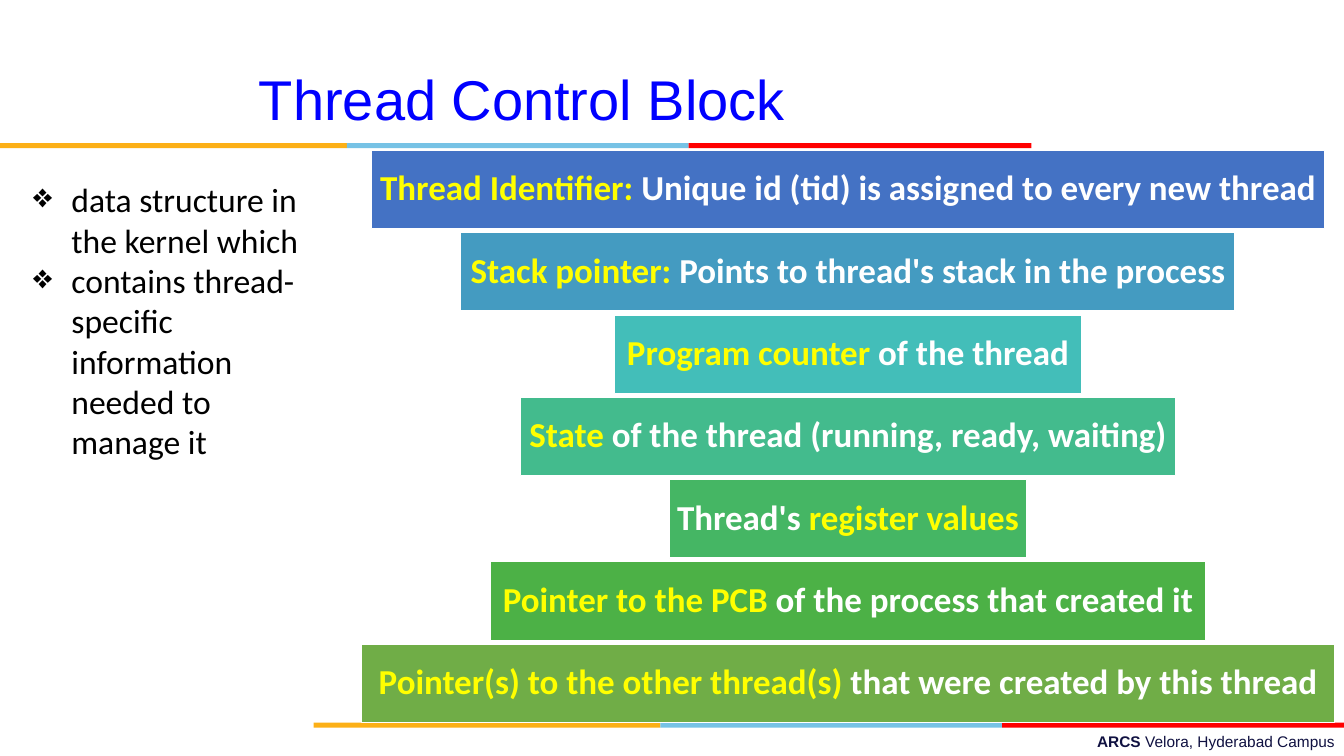
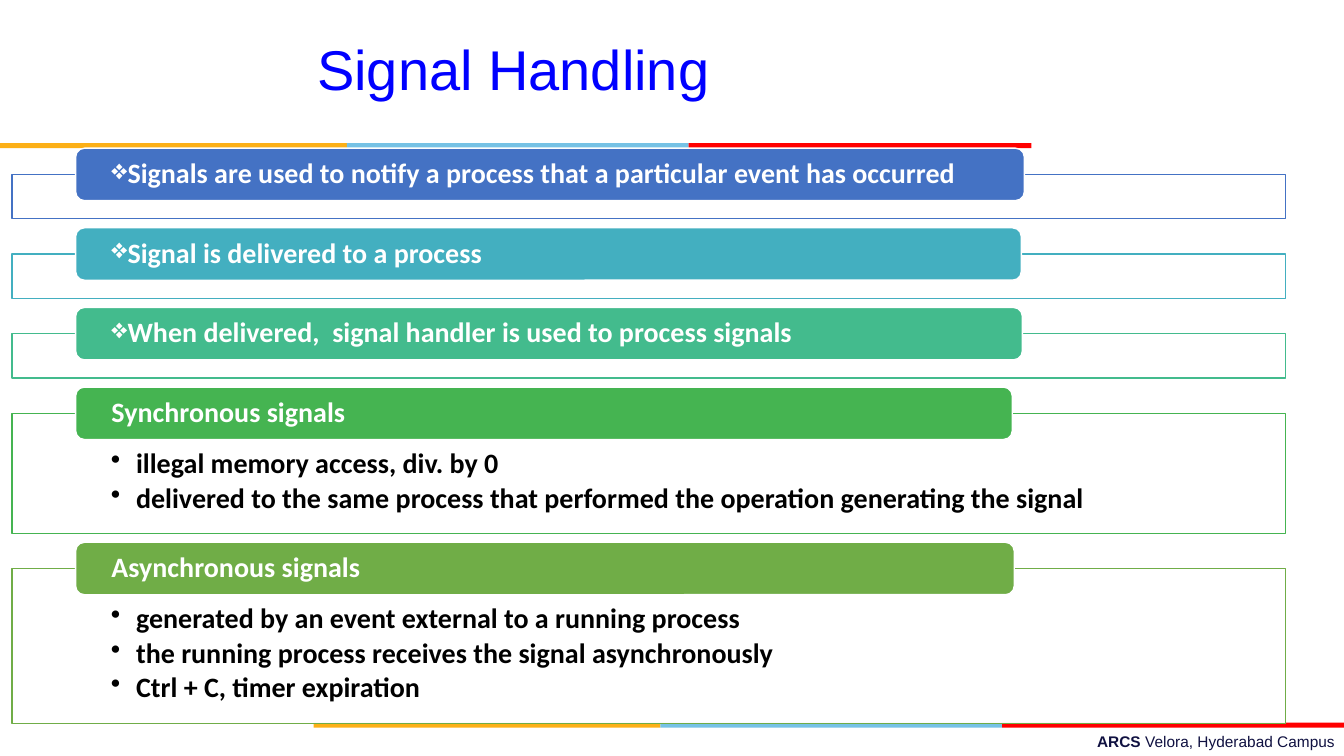
"""Build two slides on threads: the control block and signal handling."""
from lxml.etree import SubElement
from pptx import Presentation
from pptx.dml.color import RGBColor
from pptx.enum.shapes import MSO_SHAPE as Shape
from pptx.enum.text import MSO_ANCHOR as Anchor, PP_ALIGN as Align
from pptx.oxml.ns import qn
from pptx.util import Inches, Pt

COLORS = {
    "white": "FFFFFF", "black": "000000", "title": "0000FF", "footer": "101141",
    "key": "FFFF00", "gold": "FCB017", "sky": "76C2E5", "red": "FF0000",
    "blue": "4472C4", "steel": "449BC1", "lagoon": "43AFC0", "teal": "43BEB9",
    "mint": "43BB8D", "jade": "45B664", "emerald": "45B451", "green": "4CB146",
    "olive": "70AD47",
}
BAND = [("gold", 3.44), ("sky", 3.39), ("red", 3.4)]
BAND_STARTS = [(0, 1.42), (3.11, 7.17)]
FOOTER = [("ARCS ", "footer", True), ("Velora, Hyderabad Campus", "footer", False)]

INTRO = [
    "data structure in the kernel which",
    "contains thread-specific information needed to manage it",
]
FIELDS = [
    ("blue", 9.45, [("Thread Identifier: ", "key"),
                    ("Unique id (tid) is assigned to every new thread", "white")]),
    ("steel", 7.68, [("Stack pointer: ", "key"),
                     ("Points to thread's stack in the process", "white")]),
    ("teal", 4.63, [("Program counter ", "key"), ("of the thread", "white")]),
    ("mint", 6.5, [("State ", "key"),
                   ("of the thread (running, ready, waiting)", "white")]),
    ("jade", 3.54, [("Thread's ", "white"), ("register values", "key")]),
    ("green", 7.09, [("Pointer to the PCB ", "key"),
                     ("of the process that created it", "white")]),
    ("olive", 9.65, [("Pointer(s) to the other thread(s) ", "key"),
                     ("that were created by this thread", "white")]),
]
SIGNALS = [
    ("blue", 9.41, 0.44, "❖",
     "Signals are used to notify a process that a particular event has occurred", []),
    ("lagoon", 9.38, 0.44, "❖", "Signal is delivered to a process", []),
    ("mint", 9.39, 0.44, "❖",
     "When delivered,  signal handler is used to process signals", []),
    ("emerald", 9.29, 1.19, None, "Synchronous signals", [
        "illegal memory access, div. by 0",
        "delivered to the same process that performed the operation generating the signal",
    ]),
    ("olive", 9.31, 1.54, None, "Asynchronous signals", [
        "generated by an event external to a running process",
        "the running process receives the signal asynchronously",
        "Ctrl + C, timer expiration",
    ]),
]


def rgb(name):
    return RGBColor.from_string(COLORS[name])


def write(shape, paragraphs, size=20, font="Calibri", color="white", bold=False,
          align=Align.LEFT, anchor=Anchor.TOP, insets=(0.1, 0.05, 0.1, 0.05),
          spacing=None, after=0, bullet=None, hang=0):
    """Fill a shape with paragraphs, each a string or a list of (text, color, bold)."""
    frame = shape.text_frame
    frame.word_wrap = True
    frame.vertical_anchor = anchor
    (frame.margin_left, frame.margin_top,
     frame.margin_right, frame.margin_bottom) = map(Inches, insets)
    for index, content in enumerate(paragraphs):
        para = frame.add_paragraph() if index else frame.paragraphs[0]
        para.alignment = align
        para.space_after = Pt(after)
        if spacing:
            para.line_spacing = spacing
        if bullet:
            props = para._p.get_or_add_pPr()
            props.set("marL", str(Inches(hang)))
            props.set("indent", str(-Inches(hang)))
            SubElement(props, qn("a:buChar")).set("char", bullet)
        runs = [(content,)] if isinstance(content, str) else content
        for text, *style in runs:
            span = para.add_run()
            span.text = text
            span.font.name = font
            span.font.size = Pt(size)
            span.font.color.rgb = rgb(style[0] if style else color)
            span.font.bold = style[1] if len(style) > 1 else bold


def add_block(page, left, top, width, height, fill, line=None,
              kind=Shape.RECTANGLE, opacity=None):
    block = page.shapes.add_shape(kind, *map(Inches, (left, top, width, height)))
    block.shadow.inherit = False
    block.fill.solid()
    block.fill.fore_color.rgb = rgb(fill)
    if opacity:
        color = block.fill._xPr.find(qn("a:solidFill"))[0]
        SubElement(color, qn("a:alpha")).set("val", str(opacity * 1000))
    if line:
        block.line.color.rgb = rgb(line)
        block.line.width = Pt(1)
    else:
        block.line.fill.background()
    return block


def add_box(page, left, top, width, height, paragraphs, **style):
    box = page.shapes.add_textbox(*map(Inches, (left, top, width, height)))
    write(box, paragraphs, **style)


def add_page(deck, title, left, top, width):
    page = deck.slides.add_slide(deck.slide_layouts[6])
    for start, band_top in BAND_STARTS:
        for color, length in BAND:
            add_block(page, start, band_top, length, 0.05, color)
            start += length
    add_box(page, 4.78, 7.21, 8.56, 0.29, [FOOTER],
            size=11, font="Arial", align=Align.RIGHT)
    add_box(page, left, top, width, 0.77, [title],
            size=40, font="Arial", color="title", align=Align.CENTER)
    return page


def add_control_block(deck):
    page = add_page(deck, "Thread Control Block", 1.18, 0.59, 7.99)
    add_box(page, 0.23, 1.73, 3.01, 2.93, INTRO,
            size=24, color="black", bullet="❖", hang=0.38)
    center, first, last = 8.41, 1.49, 6.39
    pitch = (last - first) / (len(FIELDS) - 1)
    for index, (color, width, runs) in enumerate(FIELDS):
        bar = add_block(page, center - width / 2, first + index * pitch,
                        width, 0.78, color, line="white")
        write(bar, [runs], size=25, bold=True, align=Align.CENTER,
              anchor=Anchor.MIDDLE, insets=(0.07,) * 4, spacing=0.9)


def add_signal_handling(deck):
    page = add_page(deck, "Signal Handling", 0.44, 0.29, 9.3)
    top, gap = 1.73, 0.35
    for color, width, height, bullet, heading, details in SIGNALS:
        panel = add_block(page, 0.12, top, 12.63, height, "white",
                          line=color, opacity=90)
        if details:
            write(panel, details, color="black", bold=True, spacing=0.9, after=3,
                  insets=(0.98, 0.36, 0.98, 0.16), bullet="•", hang=0.25)
        tab = add_block(page, 0.75, top - 0.26, width, 0.52, color,
                        line="white", kind=Shape.ROUNDED_RECTANGLE)
        write(tab, [heading], bold=True, anchor=Anchor.MIDDLE, spacing=0.9,
              insets=(0.33, 0, 0.33, 0), bullet=bullet)
        top += height + gap


def main():
    deck = Presentation()
    deck.slide_width, deck.slide_height = Inches(13.33), Inches(7.5)
    add_control_block(deck)
    add_signal_handling(deck)
    deck.save("out.pptx")


if __name__ == "__main__":
    main()
